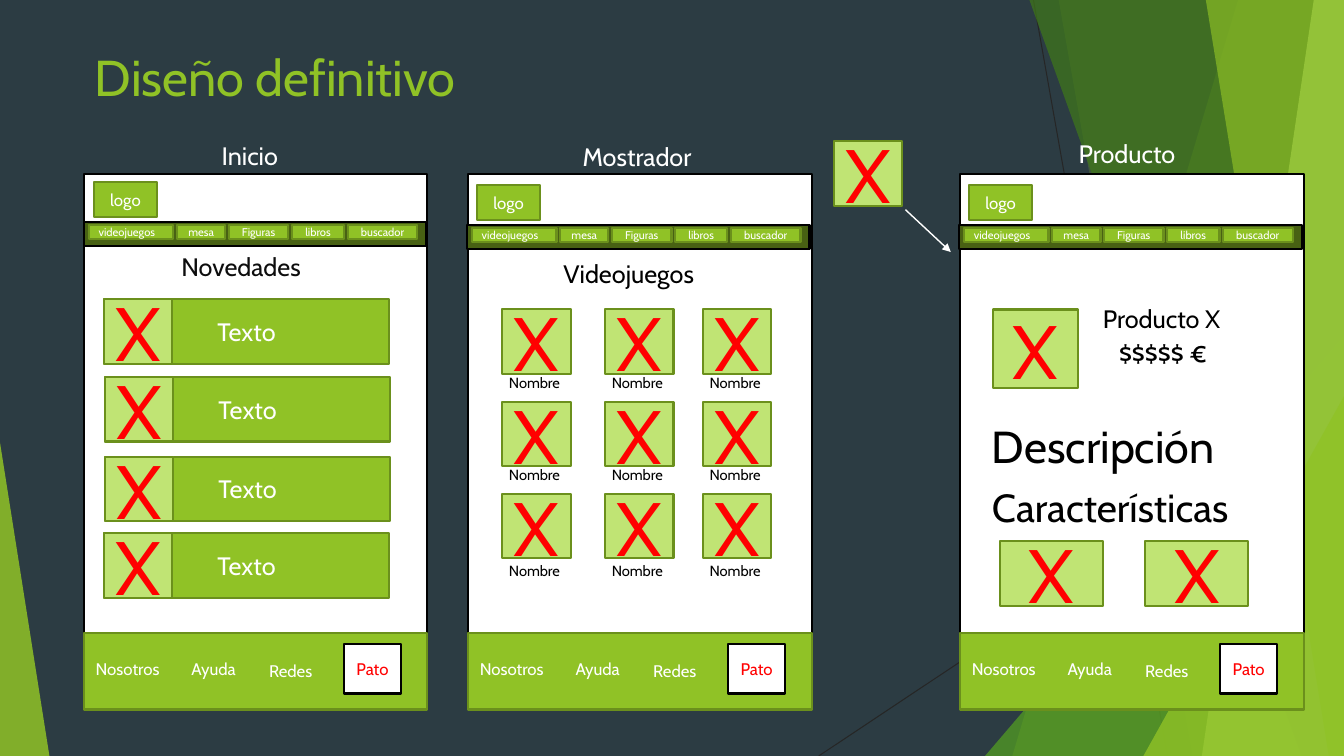
from lxml import etree
from pptx import Presentation
from pptx.dml.color import RGBColor
from pptx.enum.shapes import MSO_CONNECTOR as Connector, MSO_SHAPE as Shape
from pptx.enum.text import MSO_ANCHOR as Anchor, MSO_AUTO_SIZE as AutoSize, PP_ALIGN as Align
from pptx.oxml.ns import qn
from pptx.util import Inches, Pt

FONT = "Cabin"
GREEN, EDGE, PALE, OLIVE = "90C226", "6B901C", "C0E474", "486113"
WHITE, BLACK, RED = "FFFFFF", "000000", "FF0000"
SCREEN_WIDTH, SCREEN_HEIGHT = 3.41, 5.3
TILE_WIDTH, TILE_HEIGHT = 0.68, 0.64


def color(hex_code):
    return RGBColor.from_string(hex_code)


def write(frame, text, size=18, ink=WHITE, align=Align.LEFT, anchor=Anchor.TOP, wrap=True):
    frame.word_wrap = wrap
    frame.vertical_anchor = anchor
    para = frame.paragraphs[0]
    para.alignment = align
    span = para.add_run()
    span.text = text
    span.font.name = FONT
    span.font.size = Pt(size)
    span.font.color.rgb = color(ink)


def add_box(page, left, top, width, height, fill=GREEN, line=EDGE, text=None, **text_format):
    box = page.shapes.add_shape(Shape.RECTANGLE, Inches(left), Inches(top),
                                Inches(width), Inches(height))
    box.shadow.inherit = False
    box.fill.solid()
    box.fill.fore_color.rgb = color(fill)
    box.line.color.rgb = color(line)
    box.line.width = Pt(1.5)
    if text:
        write(box.text_frame, text, **{"align": Align.CENTER, "anchor": Anchor.MIDDLE, **text_format})


def add_label(page, left, top, width, height, text, **text_format):
    label = page.shapes.add_textbox(Inches(left), Inches(top), Inches(width), Inches(height))
    write(label.text_frame, text, **text_format)
    label.text_frame.auto_size = AutoSize.SHAPE_TO_FIT_TEXT


def add_line(page, start, end, ink, width, arrow=False):
    line = page.shapes.add_connector(Connector.STRAIGHT, *map(Inches, start + end))
    line.line.color.rgb = color(ink)
    line.line.width = Pt(width)
    properties = line._element.spPr
    if arrow:
        etree.SubElement(properties.find(qn("a:ln")), qn("a:tailEnd"), type="triangle")
    etree.SubElement(properties, qn("a:effectLst"))


def add_tile(page, left, top, width=TILE_WIDTH, height=TILE_HEIGHT):
    """Image placeholder of the wireframe: a pale box with a red X."""
    add_box(page, left, top, width, height, fill=PALE, text="X", size=54, ink=RED)


def tint(shape, fill, opacity):
    shape.shadow.inherit = False
    shape.line.fill.background()
    shape.fill.solid()
    shape.fill.fore_color.rgb = color(fill)
    swatch = shape._element.spPr.find(qn("a:solidFill"))[0]
    etree.SubElement(swatch, qn("a:alpha"), val=str(opacity * 1000))


def add_backdrop(page, width, height):
    page.background.fill.solid()
    page.background.fill.fore_color.rgb = color("2C3C43")
    add_line(page, (10.25, 0), (11.58, height), "262626", 0.75)
    add_line(page, (width, 4.03), (8.12, height), "262626", 0.75)

    def add_band(top_left, bottom_left, fill, opacity):
        outline = page.shapes.build_freeform(Inches(top_left), 0, scale=1.0)
        corners = [(width, 0), (width, height), (bottom_left, height)]
        outline.add_line_segments([(Inches(x), Inches(y)) for x, y in corners], close=True)
        tint(outline.convert_to_shape(), fill, opacity)

    def add_wedge(left, top, wedge_width, apex, fill, opacity):
        wedge = page.shapes.add_shape(Shape.ISOSCELES_TRIANGLE, Inches(left), Inches(top),
                                      Inches(wedge_width), Inches(height - top))
        wedge.adjustments[0] = apex
        tint(wedge, fill, opacity)

    add_band(12.28, 10.04, GREEN, 30)
    add_band(10.5, 11.83, GREEN, 20)
    add_wedge(9.77, 3.33, 3.56, 1, "54A021", 72)
    add_band(10.21, 12.91, "3F7819", 70)
    add_band(13.03, 11.92, PALE, 70)
    add_band(11.96, 13.18, GREEN, 65)
    add_wedge(11.34, 3.93, 1.99, 1, GREEN, 80)
    add_wedge(0, 4.39, 0.49, 0, GREEN, 85)


def add_screen(page, left, top, logo_offset=(0.09, 0.11), menu_offset=(-0.01, 0.5)):
    """Frame shared by the three screens: logo, menu bar and footer."""
    add_box(page, left, top, SCREEN_WIDTH, SCREEN_HEIGHT, fill=WHITE, line=BLACK)
    add_box(page, left + logo_offset[0], top + logo_offset[1], 0.63, 0.34, text="logo", size=12)

    # Menu bar
    menu_left, menu_top = left + menu_offset[0], top + menu_offset[1]
    add_box(page, menu_left, menu_top, 3.4, 0.24, fill=OLIVE, line=BLACK)
    item_left = menu_left + 0.05
    for name, width in [("videojuegos", 0.84), ("mesa", 0.48), ("Figuras", 0.59),
                        ("libros", 0.52), ("buscador", 0.69)]:
        align = Align.LEFT if name == "videojuegos" else Align.CENTER
        add_box(page, item_left, menu_top + 0.03, width, 0.14, text=name, size=8, align=align)
        item_left += width + 0.035

    # Footer
    footer_top = top + 4.55
    add_box(page, left, footer_top, SCREEN_WIDTH, 0.76)
    for name, offset, drop, width in [("Nosotros", 0.02, 0.21, 0.88), ("Ayuda", 0.97, 0.21, 0.77),
                                      ("Redes", 1.74, 0.23, 0.69)]:
        add_label(page, left + offset, footer_top + drop, width, 0.3, name,
                  size=12, wrap=name != "Nosotros")
    add_box(page, left + 2.58, footer_top + 0.11, 0.57, 0.49, fill=WHITE, line=BLACK,
            text="Pato", size=12, ink=RED)


def add_home(page, left, top):
    add_screen(page, left, top, logo_offset=(0.1, 0.08), menu_offset=(0, 0.47))
    add_label(page, left + 1.27, top - 0.39, 0.85, 0.4, "Inicio", wrap=False)
    add_label(page, left + 0.87, top + 0.71, 1.51, 0.4, "Novedades", ink="0D0D0D", wrap=False)
    for offset, drop in [(0.2, 1.24), (0.21, 2.01), (0.21, 2.8), (0.2, 3.56)]:
        add_box(page, left + offset, top + drop, 2.83, TILE_HEIGHT, text="Texto")
        add_tile(page, left + offset, top + drop)


def add_showcase(page, left, top):
    add_screen(page, left, top)
    add_label(page, left + 1.04, top - 0.38, 1.4, 0.4, "Mostrador", wrap=False)
    add_label(page, left + 0.85, top + 0.78, 1.68, 0.4, "Videojuegos", ink=BLACK, wrap=False)
    for row, name_drop in enumerate([0.59, 0.59, 0.62]):
        tile_top = top + 1.34 + row * 0.915
        for offset in (0.34, 1.36, 2.33):
            add_tile(page, left + offset, tile_top)
            add_label(page, left + offset - 0.03, tile_top + name_drop, 0.77, 0.28, "Nombre",
                      size=10.5, ink=BLACK)


def add_product(page, left, top):
    add_screen(page, left, top)
    add_label(page, left + 1.08, top - 0.41, 1.24, 0.4, "Producto", wrap=False)
    add_tile(page, left + 0.33, top + 1.34, 0.84, 0.78)
    add_label(page, left + 1.32, top + 1.23, 1.47, 0.4, "Producto X", ink=BLACK, wrap=False)
    add_label(page, left + 1.48, top + 1.58, 1.09, 0.4, "$$$$$ €", ink=BLACK, wrap=False)
    add_label(page, left + 0.22, top + 2.38, 2.72, 0.64, "Descripción", size=32, ink=BLACK)
    add_label(page, left + 0.22, top + 3.02, 2.92, 0.57, "Características", size=28, ink=BLACK)
    for offset in (0.4, 1.84):
        add_tile(page, left + offset, top + 3.64, width=1.02)


def add_title(page, left, top, width, height):
    title = page.shapes.title
    title.left, title.top, title.width, title.height = map(Inches, (left, top, width, height))
    write(title.text_frame, "Diseño definitivo", size=36, ink=GREEN)


def main():
    deck = Presentation()
    deck.slide_width, deck.slide_height = Inches(13.33), Inches(7.5)
    page = deck.slides.add_slide(deck.slide_layouts[5])
    add_backdrop(page, 13.33, 7.5)
    add_title(page, 0.84, 0.41, 11.32, 0.88)
    add_home(page, 0.83, 1.73)
    add_showcase(page, 4.64, 1.73)

    # A showcase tile leads to the product screen
    add_tile(page, 8.27, 1.4)
    add_line(page, (8.98, 2.08), (9.43, 2.5), WHITE, 1, arrow=True)
    add_product(page, 9.52, 1.73)
    deck.save("out.pptx")


if __name__ == "__main__":
    main()
